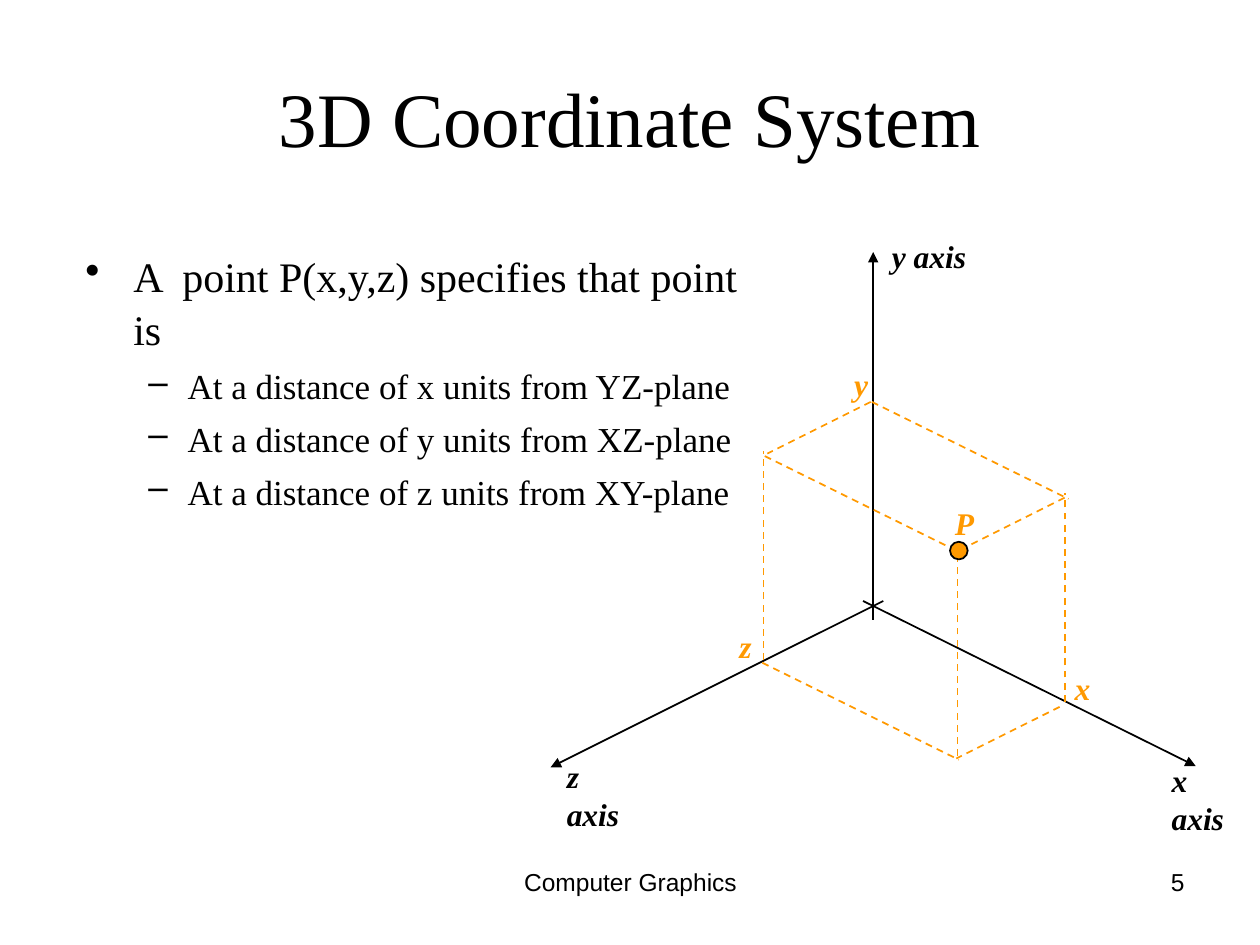
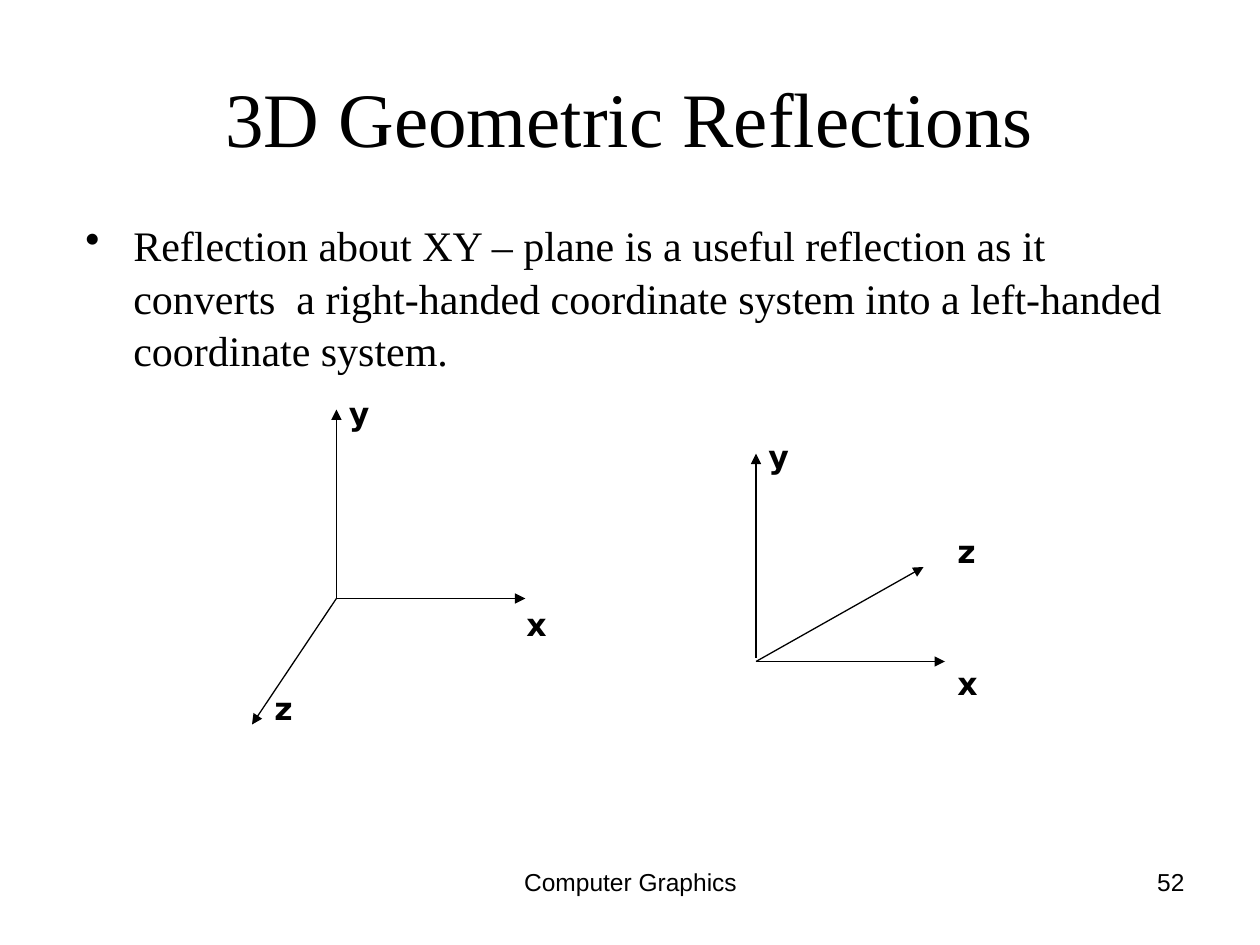
from lxml import etree
from pptx import Presentation
from pptx.dml.color import RGBColor
from pptx.enum.dml import MSO_LINE
from pptx.enum.shapes import MSO_CONNECTOR, MSO_SHAPE
from pptx.enum.text import MSO_ANCHOR, MSO_AUTO_SIZE, PP_ALIGN
from pptx.oxml.ns import qn
from pptx.util import Inches, Pt

COLOURS = {"ink": "000000", "accent": "FF9900", "paper": "FFFFFF"}
SERIF, SANS, LABEL_SANS = "Times New Roman", "Arial", "DejaVu Sans"
# Per outline level: bullet, text indent, hanging indent, size, space before
LEVELS = [("•", 0.38, 0.38, 24, 6), ("–", 0.81, 0.31, 20, 5)]


def add_text(slide, text, box, size=18, font=SERIF, colour="ink", bold=False,
             italic=False, align=PP_ALIGN.LEFT, anchor=MSO_ANCHOR.TOP,
             wrap=True, grow=False, levels=None):
    """Add a text box with one paragraph per line; levels makes them bullets."""
    frame = slide.shapes.add_textbox(*map(Inches, box)).text_frame
    frame.word_wrap = wrap
    frame.vertical_anchor = anchor
    frame.auto_size = MSO_AUTO_SIZE.SHAPE_TO_FIT_TEXT if grow else MSO_AUTO_SIZE.NONE
    for index, line in enumerate(text.split("\n")):
        paragraph = frame.add_paragraph() if index else frame.paragraphs[0]
        paragraph.alignment = align
        if levels:
            bullet, indent, hanging, size, space = LEVELS[levels[index]]
            paragraph.level = levels[index]
            paragraph.line_spacing = 1.05
            if index:
                paragraph.space_before = Pt(space)
            properties = paragraph._p.get_or_add_pPr()
            properties.set("marL", str(Inches(indent)))
            properties.set("indent", str(-Inches(hanging)))
            etree.SubElement(properties, qn("a:buChar"), char=bullet)
        run = paragraph.add_run()
        run.text = line
        run.font.name, run.font.size = font, Pt(size)
        run.font.bold, run.font.italic = bold, italic
        run.font.color.rgb = RGBColor.from_string(COLOURS[colour])


def add_line(slide, start, end, colour="ink", width=1, dashed=False, arrow=True):
    connector = slide.shapes.add_connector(
        MSO_CONNECTOR.STRAIGHT, *map(Inches, (*start, *end)))
    connector.line.color.rgb = RGBColor.from_string(COLOURS[colour])
    connector.line.width = Pt(width)
    if dashed:
        connector.line.dash_style = MSO_LINE.DASH
    if arrow:
        etree.SubElement(connector.line._get_or_add_ln(), qn("a:tailEnd"), type="triangle")
    etree.SubElement(connector._element.spPr, qn("a:effectLst"))


presentation = Presentation()
presentation.slide_width, presentation.slide_height = Inches(10), Inches(7.5)

# Title, footer and page number of both slides
slides = []
for title, number in [("3D Coordinate System", "5"), ("3D Geometric Reflections", "52")]:
    slide = presentation.slides.add_slide(presentation.slide_layouts[6])
    slide.background.fill.solid()
    slide.background.fill.fore_color.rgb = RGBColor.from_string(COLOURS["paper"])
    add_text(slide, title, (0.5, 0.3, 9, 1.25), size=44,
             align=PP_ALIGN.CENTER, anchor=MSO_ANCHOR.MIDDLE)
    add_text(slide, "Computer Graphics", (3.42, 6.83, 3.17, 0.52), size=14,
             font=SANS, align=PP_ALIGN.CENTER)
    add_text(slide, number, (7.17, 6.83, 2.33, 0.52), size=14,
             font=SANS, align=PP_ALIGN.RIGHT)
    slides.append(slide)
system_slide, reflection_slide = slides

# 3D Coordinate System
add_text(system_slide,
         "A  point P(x,y,z) specifies that point is\n"
         "At a distance of x units from YZ-plane\n"
         "At a distance of y units from XZ-plane\n"
         "At a distance of z units from XY-plane",
         (0.58, 1.92, 5.58, 4.95), levels=[0, 1, 1, 1])

for start, end in [((6.93, 4.92), (6.93, 2)),
                   ((6.85, 4.77), (9.49, 6.08)),
                   ((7.01, 4.77), (4.37, 6.09))]:
    add_line(system_slide, start, end)

# Parallel edges of the box between the origin and P
box_edges = [
    ((1.56, 0.77), [(6.05, 5.26), (6.07, 3.62), (6.92, 3.19)]),
    ((0, -1.66), [(6.06, 5.24), (7.6, 6), (8.45, 5.57)]),
    ((-0.82, 0.41), [(6.91, 3.19), (8.45, 3.95), (8.41, 5.61)]),
]
for (across, down), starts in box_edges:
    for left, top in starts:
        add_line(system_slide, (left, top), (left + across, top + down),
                 colour="accent", dashed=True, arrow=False)

point = system_slide.shapes.add_shape(
    MSO_SHAPE.OVAL, *map(Inches, (7.54, 4.3, 0.14, 0.14)))
point.shadow.inherit = False
point.fill.solid()
point.fill.fore_color.rgb = RGBColor.from_string(COLOURS["accent"])
point.line.color.rgb = RGBColor.from_string(COLOURS["ink"])
point.line.width = Pt(1)

for text, left, top, width, colour in [
        ("x axis", 9.2, 5.99, 0.8, "ink"), ("y axis", 6.98, 1.83, 0.79, "ink"),
        ("z axis", 4.4, 5.96, 0.77, "ink"), ("P", 7.48, 3.95, 0.35, "accent"),
        ("y", 6.68, 2.85, 0.31, "accent"), ("z", 5.77, 4.93, 0.29, "accent"),
        ("x", 8.43, 5.26, 0.32, "accent")]:
    add_text(system_slide, text, (left, top, width, 0.4), colour=colour,
             bold=True, italic=True, wrap=False, grow=True)

# 3D Geometric Reflections
add_text(reflection_slide,
         "Reflection about XY – plane is a useful reflection as it converts  a "
         "right-handed coordinate system into a left-handed coordinate system.",
         (0.58, 1.67, 9, 4.92), levels=[0])

# Each axis: name, start, arrow tip, label position, label width
right_handed = [("x", (2.67, 4.75), (4.17, 4.75), (4.08, 4.75), 0.5),
                ("y", (2.67, 4.75), (2.67, 3.25), (2.67, 3.08), 0.42),
                ("z", (2.67, 4.75), (2, 5.75), (2.08, 5.42), 0.42)]
left_handed = [("x", (6, 5.25), (7.5, 5.25), (7.5, 5.22), 0.5),
               ("y", (6, 5.22), (6, 3.6), (6, 3.42), 0.42),
               ("z", (6, 5.25), (7.33, 4.5), (7.5, 4.17), 1)]
for name, start, tip, label, width in right_handed + left_handed:
    add_line(reflection_slide, start, tip, width=0.75)
    add_text(reflection_slide, name, (*label, width, 0.4), font=LABEL_SANS,
             bold=True, grow=True)

presentation.save("out.pptx")
